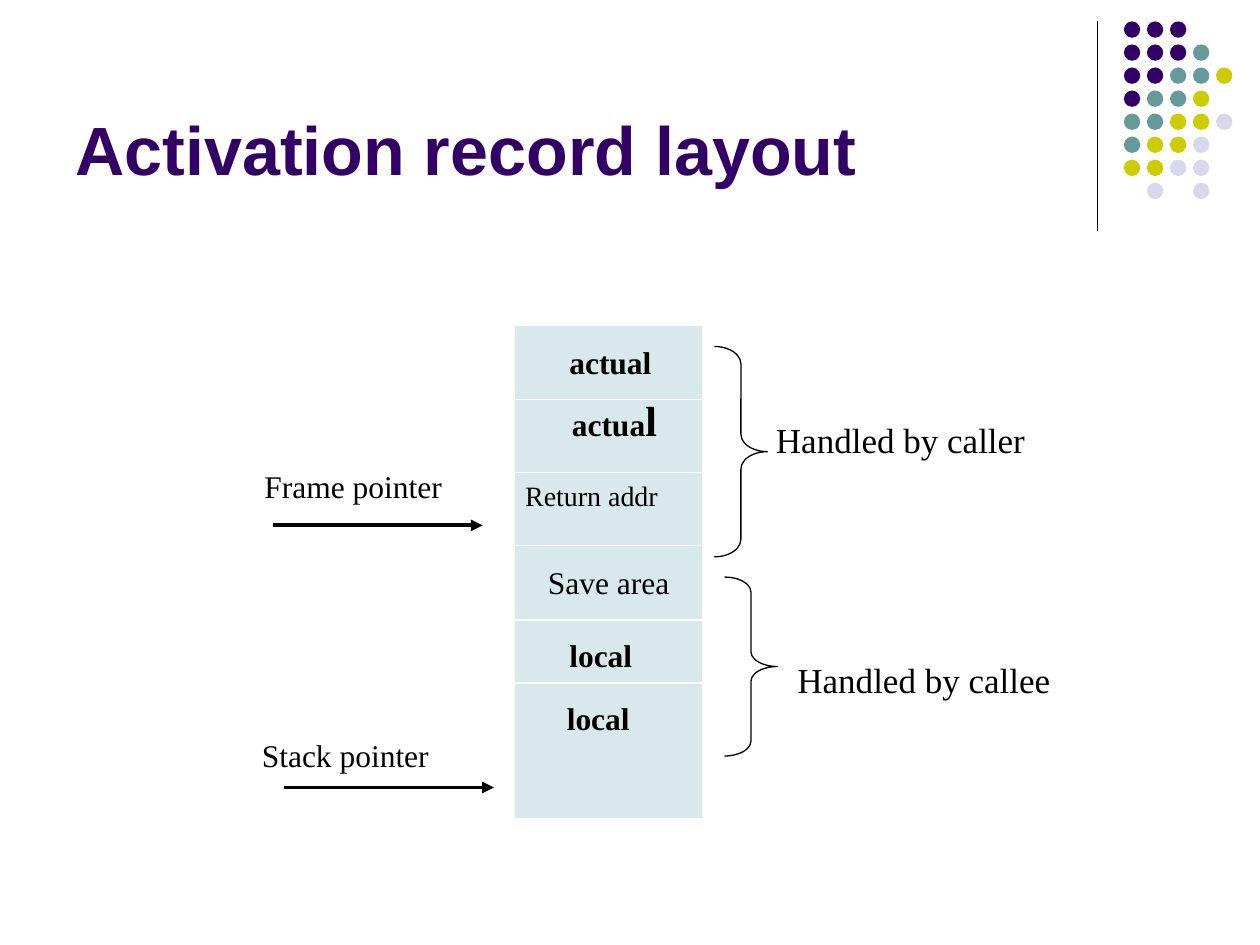
"""Build the activation record layout slide."""
from lxml import etree
from pptx import Presentation
from pptx.dml.color import RGBColor
from pptx.enum import shapes, text
from pptx.oxml import ns
from pptx.util import Inches, Pt

PURPLE = RGBColor(0x33, 0x00, 0x66)
TEAL = RGBColor(0x66, 0x99, 0x99)
OLIVE = RGBColor(0xCC, 0xCC, 0x00)
LAVENDER = RGBColor(0xD8, 0xD8, 0xEC)
PALE = RGBColor(0xD9, 0xE9, 0xEB)
BLACK = RGBColor(0, 0, 0)
WHITE = RGBColor(0xFF, 0xFF, 0xFF)

TITLE = "Activation record layout"
DOTS = ["PPP", "PPPT", "PPTTO", "PTTO", "TTOOL", "TOOL", "OOLL", " L L"]
DOT_COLORS = {"P": PURPLE, "T": TEAL, "O": OLIVE, "L": LAVENDER}
RECORD = (4.08, 2.58, 1.5, 3.92)
DIVIDERS = [3.17, 3.75, 4.33, 4.92, 5.42]
LABELS = [
    ([("actual", 18)], (4.42, 2.67, 0.92, 0.4), True),
    ([("actua", 18), ("l", 24)], (4.44, 3.08, 0.89, 0.5), True),
    ([("Return addr", 16)], (4.07, 3.75, 1.39, 0.37), False),
    ([("Save area", 18)], (4.25, 4.42, 1.17, 0.4), False),
    ([("local", 18)], (4.42, 5, 0.75, 0.4), True),
    ([("local", 18)], (4.4, 5.5, 0.85, 0.4), True),
    ([("Frame pointer", 18)], (2, 3.66, 1.92, 0.4), False),
    ([("Stack pointer", 18)], (1.98, 5.79, 1.6, 0.4), False),
    ([("Handled by caller", 20)], (6.06, 3.27, 2.25, 0.44), False),
    ([("Handled by callee", 20)], (6.23, 5.18, 2.25, 0.44), False),
]
BRACES = [(5.67, 2.75, 0.42, 1.67), (5.75, 4.58, 0.42, 1.42)]
POINTERS = [(2.17, 4.17, 3.83, 4.17), (2.25, 6.25, 3.92, 6.25)]


def add_shape(s, kind, box, fill=None, line=None):
    sp = s.shapes.add_shape(kind, *map(Inches, box))
    sp.shadow.inherit = False
    if fill is None:
        sp.fill.background()
    else:
        sp.fill.solid()
        sp.fill.fore_color.rgb = fill
    if line is None:
        sp.line.fill.background()
    else:
        sp.line.color.rgb = line
        sp.line.width = Pt(0.75)
    return sp


def add_line(s, ends, color, width, arrow=False):
    sp = s.shapes.add_connector(shapes.MSO_CONNECTOR.STRAIGHT, *map(Inches, ends))
    sp.line.color.rgb = color
    sp.line.width = Pt(width)
    props = sp._element.spPr
    if arrow:
        etree.SubElement(props.get_or_add_ln(), ns.qn("a:tailEnd"), type="triangle")
    etree.SubElement(props, ns.qn("a:effectLst"))


def add_text(s, runs, box, bold, font="Times New Roman", color=BLACK):
    tf = s.shapes.add_textbox(*map(Inches, box)).text_frame
    tf.word_wrap = True
    p = tf.paragraphs[0]
    for content, size in runs:
        r = p.add_run()
        r.text = content
        r.font.size = Pt(size)
    p.font.name = font
    p.font.bold = bold
    p.font.color.rgb = color
    return tf


def main():
    prs = Presentation()
    prs.slide_width, prs.slide_height = Inches(10), Inches(7.5)
    s = prs.slides.add_slide(prs.slide_layouts[6])

    add_line(s, (8.71, 0.17, 8.71, 1.83), BLACK, 0.75)
    pitch = 1.28 / 7
    for row, keys in enumerate(DOTS):
        for col, key in enumerate(keys):
            if key in DOT_COLORS:
                box = (8.92 + col * pitch, 0.17 + row * pitch, 0.13, 0.13)
                add_shape(s, shapes.MSO_SHAPE.OVAL, box, DOT_COLORS[key])

    tf = add_text(s, [(TITLE, 39)], (0.5, 0.13, 8.25, 1.42), True, "Arial", PURPLE)
    tf.vertical_anchor = text.MSO_ANCHOR.BOTTOM

    add_shape(s, shapes.MSO_SHAPE.RECTANGLE, RECORD, PALE, WHITE)
    left, _, width, _ = RECORD
    for y in DIVIDERS:
        add_line(s, (left, y, left + width, y), WHITE, 0.75)
    for label in LABELS:
        add_text(s, *label)
    for box in BRACES:
        sp = add_shape(s, shapes.MSO_SHAPE.RIGHT_BRACE, box, line=BLACK)
        sp.adjustments[0] = box[3] / box[2] / 12
    for ends in POINTERS:
        add_line(s, ends, BLACK, 2.25, arrow=True)

    prs.save("out.pptx")


if __name__ == "__main__":
    main()
